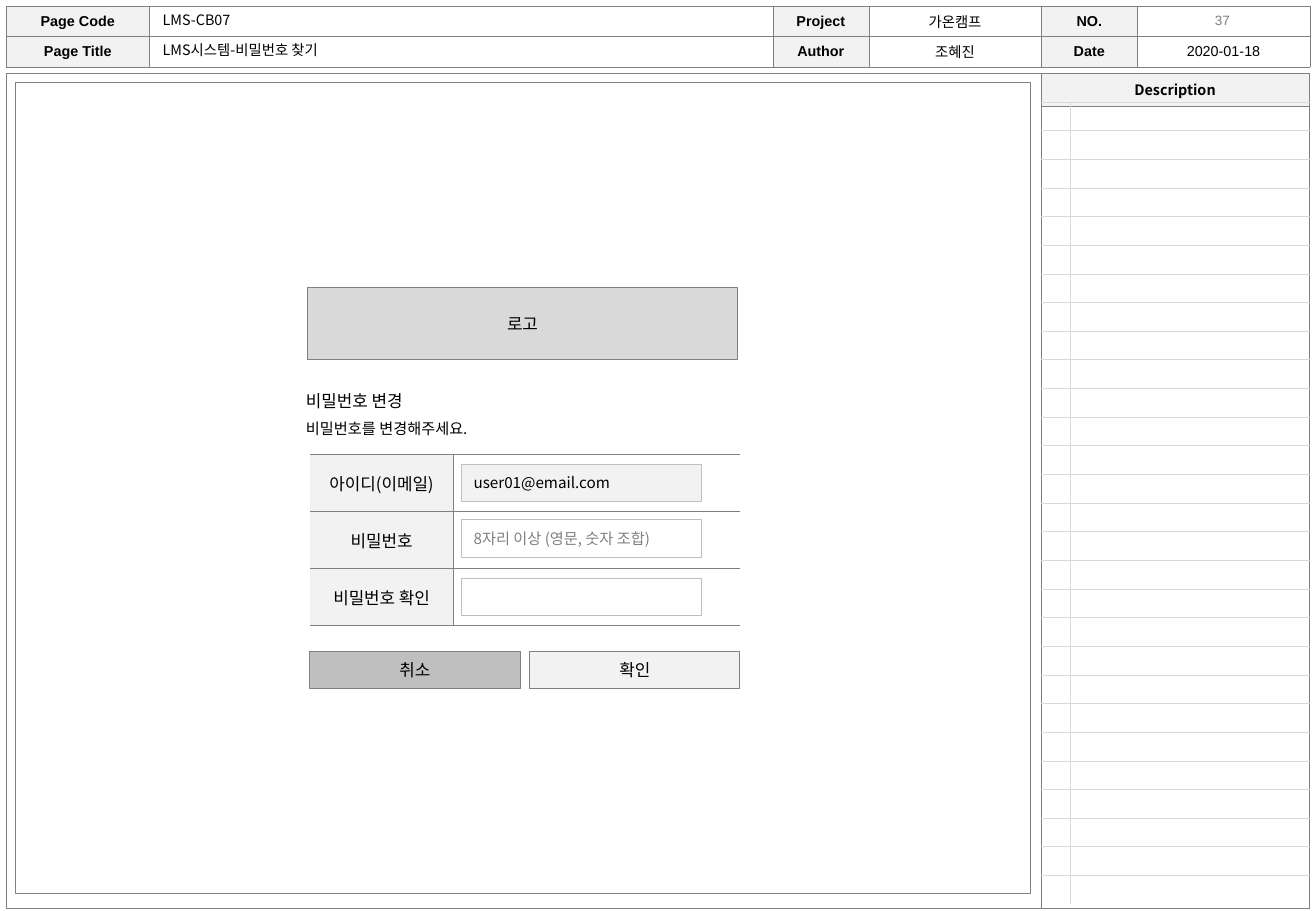
from lxml import etree
from pptx import Presentation
from pptx import util as u
from pptx.dml.color import RGBColor
from pptx.enum import shapes, text
from pptx.oxml.ns import qn

KOREAN, LATIN = "Noto Sans CJK KR", "Arial"
BLACK, GRAY, SILVER, PALE, WHITE = "000000", "808080", "BFBFBF", "F2F2F2", "FFFFFF"
LEFT, CENTER = text.PP_ALIGN.LEFT, text.PP_ALIGN.CENTER
NO_STYLE = "{2D5ABB26-0587-4C30-8999-92F81FD0307C}"


def color(value):
    return RGBColor.from_string(value)


class Wireframe:
    """Style and current slide of a wireframe page."""

    def __init__(self, slide):
        self.slide = slide

    def area(self, left, top, width, height):
        return [u.Inches(length) for length in (left, top, width, height)]

    def set_words(self, para, words, size, font=KOREAN, ink=BLACK, bold=False, align=LEFT):
        para.text = words
        para.alignment = align
        for span in para.runs:
            span.font.size = u.Pt(size)
            span.font.bold = bold
            span.font.color.rgb = color(ink)
            span.font.name = font
            etree.SubElement(span._r.get_or_add_rPr(), qn("a:ea"), typeface=KOREAN)

    def label(self, area, lines, wrap=True, spacing=None, **style):
        frame = self.slide.shapes.add_textbox(*self.area(*area)).text_frame
        frame.word_wrap = wrap
        for index, (words, size) in enumerate(lines):
            para = frame.add_paragraph() if index else frame.paragraphs[0]
            self.set_words(para, words, size, **style)
            if spacing:
                para.line_spacing = spacing

    def box(self, area, fill, line=GRAY, words="", size=10, **style):
        box = self.slide.shapes.add_shape(shapes.MSO_SHAPE.RECTANGLE, *self.area(*area))
        box.shadow.inherit = False
        box.fill.solid()
        box.fill.fore_color.rgb = color(fill)
        box.line.color.rgb = color(line)
        box.line.width = u.Pt(0.5)
        if words:
            frame = box.text_frame
            frame.vertical_anchor = text.MSO_ANCHOR.MIDDLE
            self.set_words(frame.paragraphs[0], words, size, **style)

    def table(self, left, top, columns, rows):
        area = self.area(left, top, sum(columns), sum(rows))
        table = self.slide.shapes.add_table(len(rows), len(columns), *area).table
        table.first_row = table.horz_banding = False
        table._tbl.tblPr.find(qn("a:tableStyleId")).text = NO_STYLE
        for column, width in zip(table.columns, columns):
            column.width = u.Inches(width)
        for row, height in zip(table.rows, rows):
            row.height = u.Inches(height)
        return table

    def cell(self, cell, sides, line=GRAY, width=0.5, words="", fill=None,
             margin=None, anchor=text.MSO_ANCHOR.MIDDLE, **style):
        # Borders come before the fill in the cell properties
        properties = cell._tc.get_or_add_tcPr()
        for side in "LRTB":
            border = etree.SubElement(properties, qn("a:ln" + side), w=str(u.Pt(width)))
            if side in sides:
                paint = etree.SubElement(border, qn("a:solidFill"))
                etree.SubElement(paint, qn("a:srgbClr"), val=line)
            else:
                etree.SubElement(border, qn("a:noFill"))
        if fill:
            cell.fill.solid()
            cell.fill.fore_color.rgb = color(fill)
        else:
            cell.fill.background()
        cell.vertical_anchor = anchor
        if margin:
            cell.margin_left = cell.margin_right = u.Inches(margin)
            cell.margin_top = cell.margin_bottom = u.Inches(margin)
        para = cell.text_frame.paragraphs[0]
        if words:
            self.set_words(para, words, align=CENTER, **style)
        else:
            # A small end mark keeps empty rows at their set height
            etree.SubElement(para._p, qn("a:endParaRPr"), sz="600")


def main():
    deck = Presentation()
    deck.slide_width, deck.slide_height = u.Inches(10.83), u.Inches(7.5)
    page = Wireframe(deck.slides.add_slide(deck.slide_layouts[6]))

    # Page frame with the description heading
    frame = page.table(0.05, 0.6, [8.52, 2.2], [0.16, 6.61])
    page.cell(frame.cell(0, 0), "LTR", width=0.25)
    page.cell(frame.cell(0, 1), "LTRB", width=0.25, words="Description", fill=PALE,
              anchor=text.MSO_ANCHOR.TOP, size=8.5, bold=True)
    page.cell(frame.cell(1, 0), "LRB", width=0.25)
    page.cell(frame.cell(1, 1), "LTRB", width=0.25)

    # Page information: headings and values alternate
    information = [["Page Code", "", "Project", "가온캠프", "NO.", ""],
                   ["Page Title", "", "Author", "조혜진", "Date", "2020-01-18"]]
    header = page.table(0.05, 0.05, [1.18, 5.13, 0.79, 1.42, 0.79, 1.42], [0.24] * 2)
    for row, entries in enumerate(information):
        for column, words in enumerate(entries):
            heading = column % 2 == 0
            page.cell(header.cell(row, column), "LTRB", width=0.25, words=words,
                      fill=PALE if heading else None, margin=0.04,
                      size=8.5, font=LATIN, bold=heading)
    page.label((9.35, 0.05, 1.42, 0.24), [("37", 8)], font=LATIN, ink="7F7F7F", align=CENTER)
    page.label((1.24, 0.29, 5.12, 0.24), [("LMS시스템-비밀번호 찾기", 8.5)])
    page.label((1.24, 0.04, 5.12, 0.24), [("LMS-CB07", 8.5)])

    # Screen area
    page.box((0.13, 0.68, 8.35, 6.68), WHITE)

    # Description lines, open at the outer sides and the bottom
    count = 28
    notes = page.table(8.57, 0.84, [0.24, 1.97], [6.61 / count] * count)
    for row in range(count):
        sides = "T" if row == count - 1 else "TB"
        page.cell(notes.cell(row, 0), sides + "R", line="D9D9D9")
        page.cell(notes.cell(row, 1), sides + "L", line="D9D9D9")

    # Logo area and introduction
    page.box((2.53, 2.37, 3.54, 0.59), "D9D9D9", words="로고", align=CENTER)
    page.label((2.42, 3.08, 1.66, 0.58),
               [("비밀번호 변경", 10), ("비밀번호를 변경해주세요.", 9)],
               wrap=False, spacing=1.5)

    # Password form
    labels = ["아이디(이메일)", "비밀번호", "비밀번호 확인"]
    form = page.table(2.55, 3.74, [1.18, 2.36], [0.47] * len(labels))
    for row, words in enumerate(labels):
        page.cell(form.cell(row, 0), "TRB", words=words, fill=PALE, size=10)
        page.cell(form.cell(row, 1), "LTB")
    fields = [(3.82, PALE, "user01@email.com", BLACK),
              (4.28, WHITE, "8자리 이상 (영문, 숫자 조합)", GRAY),
              (4.76, WHITE, "", BLACK)]
    for top, fill, words, ink in fields:
        page.box((3.8, top, 1.97, 0.31), fill, SILVER, words, size=9, ink=ink)

    # Buttons
    for left, fill, words in [(2.55, SILVER, "취소"), (4.36, PALE, "확인")]:
        page.box((left, 5.36, 1.73, 0.31), fill, words=words, align=CENTER)

    deck.save("out.pptx")


if __name__ == "__main__":
    main()
